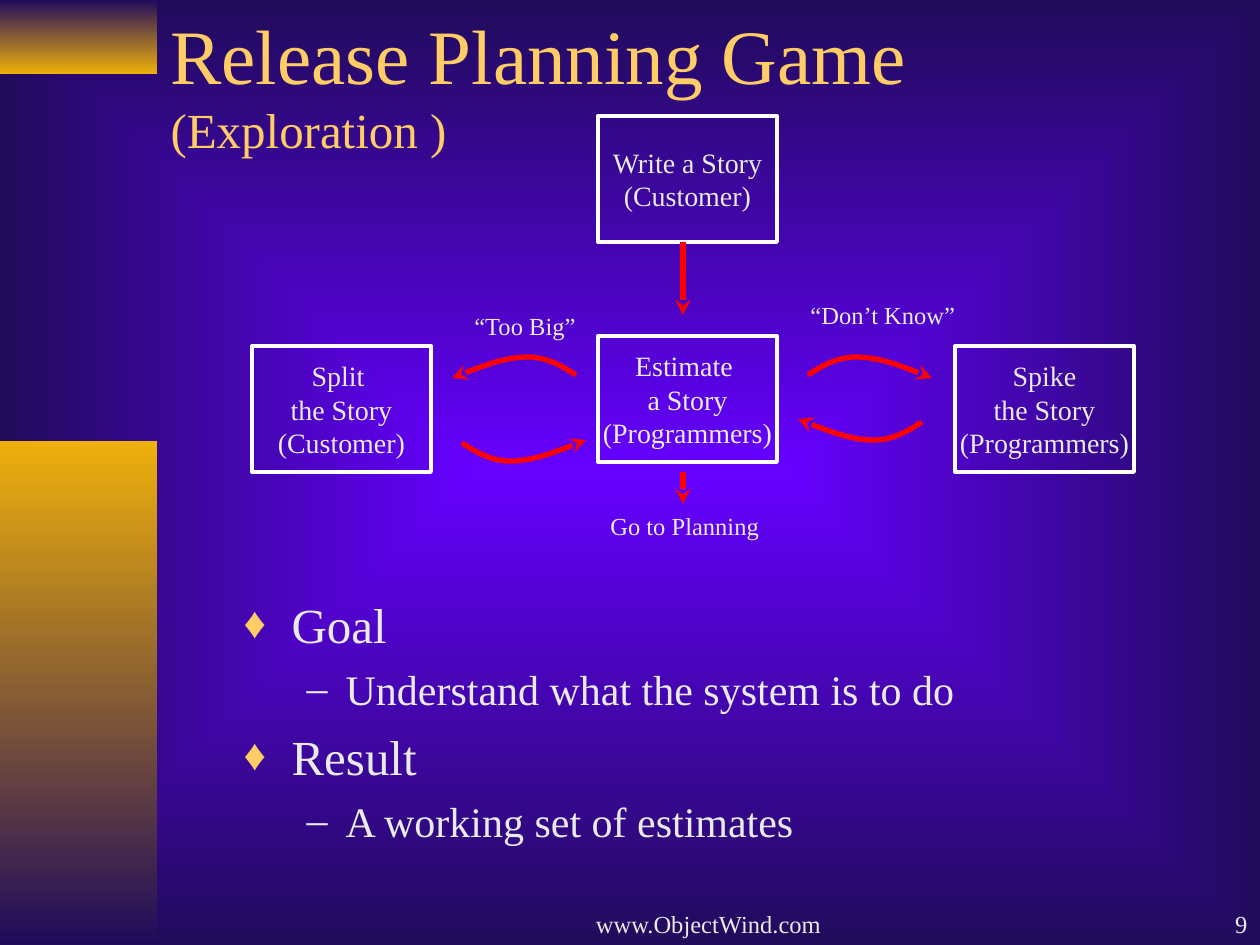
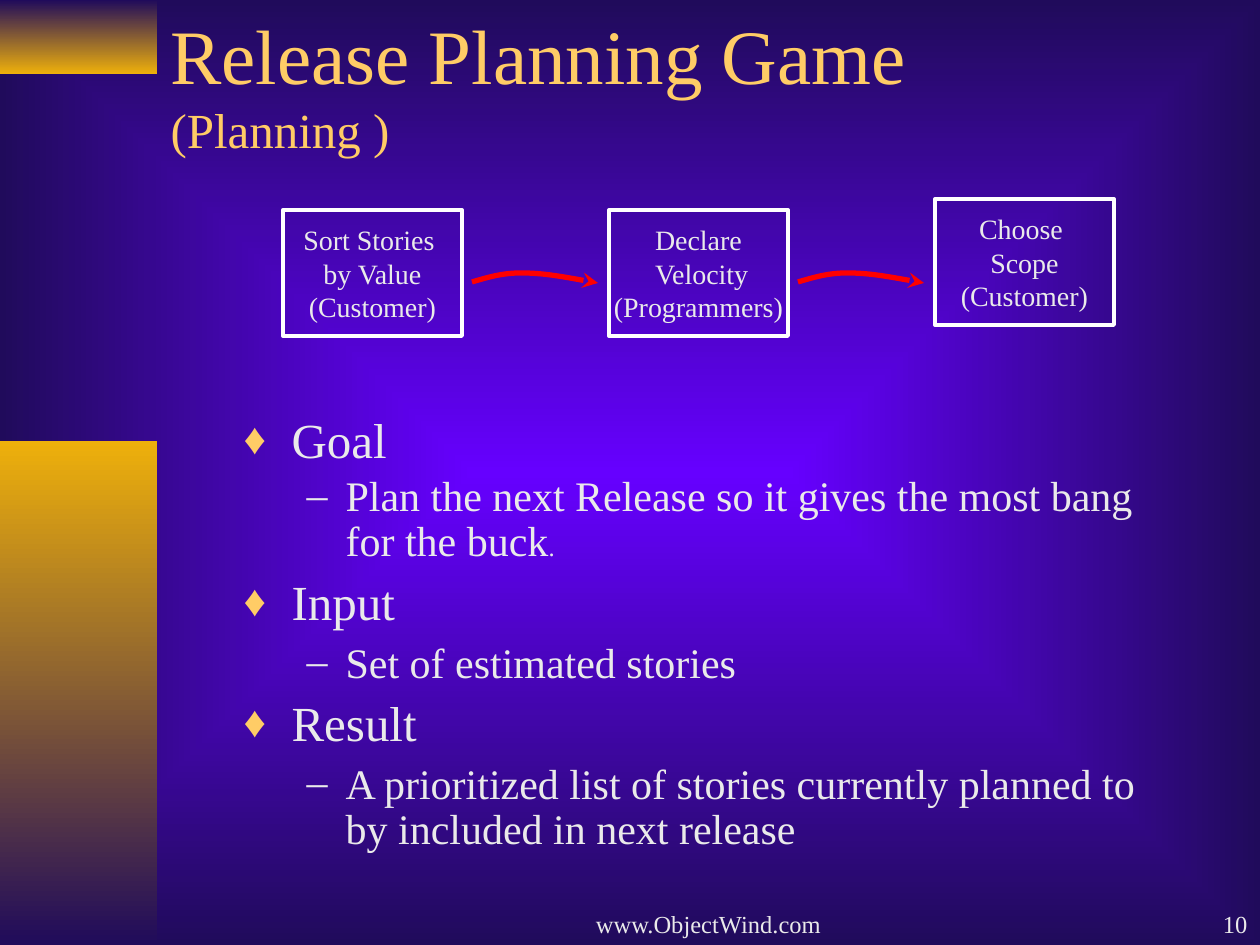
from dataclasses import dataclass
from typing import Optional

from lxml.etree import SubElement
from pptx import Presentation
from pptx.dml.color import RGBColor
from pptx.enum.shapes import MSO_CONNECTOR as Connector, MSO_SHAPE as Shape
from pptx.enum.text import MSO_ANCHOR as Anchor, MSO_AUTO_SIZE as AutoSize, PP_ALIGN as Align
from pptx.oxml.ns import qn
from pptx.util import Emu, Pt

EMU_PER_PX = 914400 / 126


@dataclass(frozen=True)
class Theme:
    font: str = "Times New Roman"
    glow: str = "6600FF"
    night: str = "200B5B"
    gold: str = "EEB00B"
    accent: str = "FFCC66"
    text: str = "EAEAEA"
    outline: str = "FFFFFF"
    arrow: str = "FF0000"
    title_size: int = 44
    subtitle_size: int = 28
    list_sizes: tuple = (28, 24)
    step_size: int = 16
    note_size: int = 14


@dataclass(frozen=True)
class Point:
    text: str
    level: int = 1
    before: Optional[float] = None
    ending: str = ""  # closing mark in the small size


THEME = Theme()
STEP_SIZE = (179, 126)
# Control points of a bent arrow, as shares of its width and rise
BEND = [(0.11, -0.5), (0.23, -1), (0.39, -1), (0.56, -1), (0.78, -0.42), (1, 0.15)]
# Bullet, colour, size in percent, left margin and hanging indent in px
BULLETS = [("♦", THEME.accent, 90, 48, 48), ("–", THEME.text, 100, 102, 39)]
LIST_GAPS = (7, 6)


def px(*lengths):
    return [Emu(round(length * EMU_PER_PX)) for length in lengths]


def rgb(code):
    return RGBColor.from_string(code)


def write(paragraph, text, *, size, color=THEME.text, align=None, before=0, spacing=None, margin=0):
    """Append a run to the paragraph and set the paragraph's layout."""
    run = paragraph.add_run()
    run.text = text
    run.font.name = THEME.font
    run.font.size = Pt(size)
    run.font.color.rgb = rgb(color)
    paragraph.space_before = Pt(before)
    if align is not None:
        paragraph.alignment = align
    if spacing:
        paragraph.line_spacing = spacing
    if margin:
        paragraph._p.get_or_add_pPr().set("marL", str(px(margin)[0]))


def set_frame(shape, anchor, wrap):
    frame = shape.text_frame
    frame.auto_size = AutoSize.NONE
    frame.vertical_anchor = anchor
    frame.word_wrap = wrap
    return frame


def paragraphs_for(frame, items):
    """Pair each item with a paragraph of the frame."""
    for index, item in enumerate(items):
        yield (frame.add_paragraph() if index else frame.paragraphs[0]), item


def place(shape, left, top, width, height):
    shape.left, shape.top, shape.width, shape.height = px(left, top, width, height)


def set_gradient(fill, start, end):
    fill.gradient()
    for stop, position, color in zip(fill.gradient_stops, (0, 1), (start, end)):
        stop.position = position
        stop.color.rgb = rgb(color)


def set_background(master):
    """Give the master a gradient that spreads from the centre as a rectangle."""
    set_gradient(master.background.fill, THEME.glow, THEME.night)
    gradient = master.element.find(".//" + qn("p:bgPr") + "/" + qn("a:gradFill"))
    gradient.remove(gradient.find(qn("a:lin")))
    spread = SubElement(gradient, qn("a:path"), path="rect")
    SubElement(spread, qn("a:fillToRect"), l="50000", t="50000", r="50000", b="50000")


def add_band(slide, top, height, start, end):
    band = slide.shapes.add_shape(Shape.RECTANGLE, *px(0, top, 157, height))
    set_gradient(band.fill, start, end)
    band.fill.gradient_angle = 270
    band.line.fill.background()
    band.shadow.inherit = False


def add_label(slide, text, left, top, width, height=43, wrap=False, **layout):
    label = slide.shapes.add_textbox(*px(left, top, width, height))
    frame = set_frame(label, Anchor.BOTTOM, wrap)
    write(frame.paragraphs[0], text, size=THEME.note_size, **layout)


def add_step(slide, left, top, *lines):
    step = slide.shapes.add_shape(Shape.RECTANGLE, *px(left, top, *STEP_SIZE))
    step.fill.background()
    step.line.color.rgb = rgb(THEME.outline)
    step.line.width = Pt(2.25)
    step.shadow.inherit = False
    frame = set_frame(step, Anchor.MIDDLE, False)
    for paragraph, line in paragraphs_for(frame, lines):
        write(paragraph, line, size=THEME.step_size, align=Align.CENTER)


def style_arrow(arrow):
    arrow.line.color.rgb = rgb(THEME.arrow)
    arrow.line.width = Pt(3)
    properties = arrow.element.spPr
    SubElement(properties.find(qn("a:ln")), qn("a:tailEnd"), type="stealth")
    SubElement(properties, qn("a:effectLst"))


def add_down_arrow(slide, x, top, bottom):
    style_arrow(slide.shapes.add_connector(Connector.STRAIGHT, *px(x, top, x, bottom)))


def add_bent_arrow(slide, x, y, width, rise):
    """Draw two joined cubic curves; a negative width or rise mirrors them."""
    builder = slide.shapes.build_freeform(x, y, scale=EMU_PER_PX)
    controls = [(round(x + dx * width), round(y + dy * rise)) for dx, dy in BEND]
    builder.add_line_segments(controls, close=False)
    arrow = builder.convert_to_shape()
    outline = arrow.element.find(".//" + qn("a:path"))
    segments = outline.findall(qn("a:lnTo"))
    for first in range(0, len(segments), 3):
        curve = SubElement(outline, qn("a:cubicBezTo"))
        for segment in segments[first:first + 3]:
            curve.append(segment[0])
            outline.remove(segment)
    arrow.fill.background()
    style_arrow(arrow)


def add_bullet(paragraph, level):
    mark, color, percent, margin, hanging = BULLETS[level]
    paragraph.level = level
    properties = paragraph._p.get_or_add_pPr()
    properties.set("marL", str(px(margin)[0]))
    properties.set("indent", str(px(-hanging)[0]))
    SubElement(SubElement(properties, qn("a:buClr")), qn("a:srgbClr"), val=color)
    SubElement(properties, qn("a:buSzPct"), val=str(percent * 1000))
    SubElement(properties, qn("a:buFont"), typeface=THEME.font)
    SubElement(properties, qn("a:buChar"), char=mark)


def fill_list(slide, top, height, points, spacing=None):
    body = slide.placeholders[1]
    place(body, 231, top, 945, height)
    frame = set_frame(body, Anchor.TOP, True)
    for paragraph, point in paragraphs_for(frame, points):
        add_bullet(paragraph, point.level)
        before = LIST_GAPS[point.level] if point.before is None else point.before
        layout = dict(before=before, spacing=spacing)
        write(paragraph, point.text, size=THEME.list_sizes[point.level], **layout)
        if point.ending:
            write(paragraph, point.ending, size=THEME.note_size, **layout)


def start_slide(prs, phase, number):
    """Add a slide with the shared bands, title and footer."""
    slide = prs.slides.add_slide(prs.slide_layouts[1])
    add_band(slide, 0, 74, THEME.night, THEME.gold)
    add_band(slide, 441, 504, THEME.gold, THEME.night)
    place(slide.shapes.title, 158, 0, 1071, 166)
    heading = set_frame(slide.shapes.title, Anchor.MIDDLE, True).paragraphs[0]
    look = dict(color=THEME.accent, align=Align.LEFT)
    write(heading, "Release Planning Game", size=THEME.title_size, **look)
    heading.add_line_break()
    write(heading, phase, size=THEME.subtitle_size, **look)
    footer = dict(top=882, height=63, wrap=True, margin=30)
    add_label(slide, "www.ObjectWind.com", 494, width=399, align=Align.CENTER, **footer)
    add_label(slide, str(number), 998, width=262, align=Align.RIGHT, **footer)
    return slide


def build_exploration(prs):
    slide = start_slide(prs, "(Exploration )", 9)
    add_step(slide, 598, 116, "Write a Story", "(Customer)")
    add_step(slide, 598, 336, "Estimate ", "a Story", "(Programmers)")
    add_step(slide, 252, 346, "Split ", "the Story", "(Customer)")
    add_step(slide, 955, 346, "Spike", "the Story", "(Programmers)")
    add_down_arrow(slide, 683, 242, 315)
    add_down_arrow(slide, 683, 472, 504)
    add_bent_arrow(slide, 576, 375, -124, 18)
    add_bent_arrow(slide, 462, 443, 124, -18)
    add_bent_arrow(slide, 808, 375, 124, 18)
    add_bent_arrow(slide, 922, 422, -124, -18)
    add_label(slide, "“Too Big”", 462, 304, 128)
    add_label(slide, "“Don’t Know”", 798, 293, 170)
    add_label(slide, "Go to Planning", 598, 504, 174)
    fill_list(slide, 588, 315, [
        Point("Goal", level=0, before=0),
        Point("Understand what the system is to do"),
        Point("Result", level=0),
        Point("A working set of estimates"),
    ])


def build_planning(prs):
    slide = start_slide(prs, "(Planning )", 10)
    add_step(slide, 283, 210, "Sort Stories ", "by Value", "(Customer)")
    add_step(slide, 609, 210, "Declare", " Velocity", "(Programmers)")
    add_step(slide, 935, 199, "Choose ", "Scope", "(Customer)")
    for x in (472, 798):
        add_bent_arrow(slide, x, 282, 126, 9)
    fill_list(slide, 410, 462, [
        Point("Goal", level=0, before=0),
        Point("Plan the next Release so it gives the most bang for the buck", before=3.5, ending="."),
        Point("Input", level=0),
        Point("Set of estimated stories"),
        Point("Result", level=0),
        Point("A prioritized list of stories currently planned to by included in next release"),
    ], spacing=0.9)


def main():
    prs = Presentation()
    prs.slide_width, prs.slide_height = px(1260, 945)
    set_background(prs.slide_master)
    build_exploration(prs)
    build_planning(prs)
    prs.save("out.pptx")


if __name__ == "__main__":
    main()
